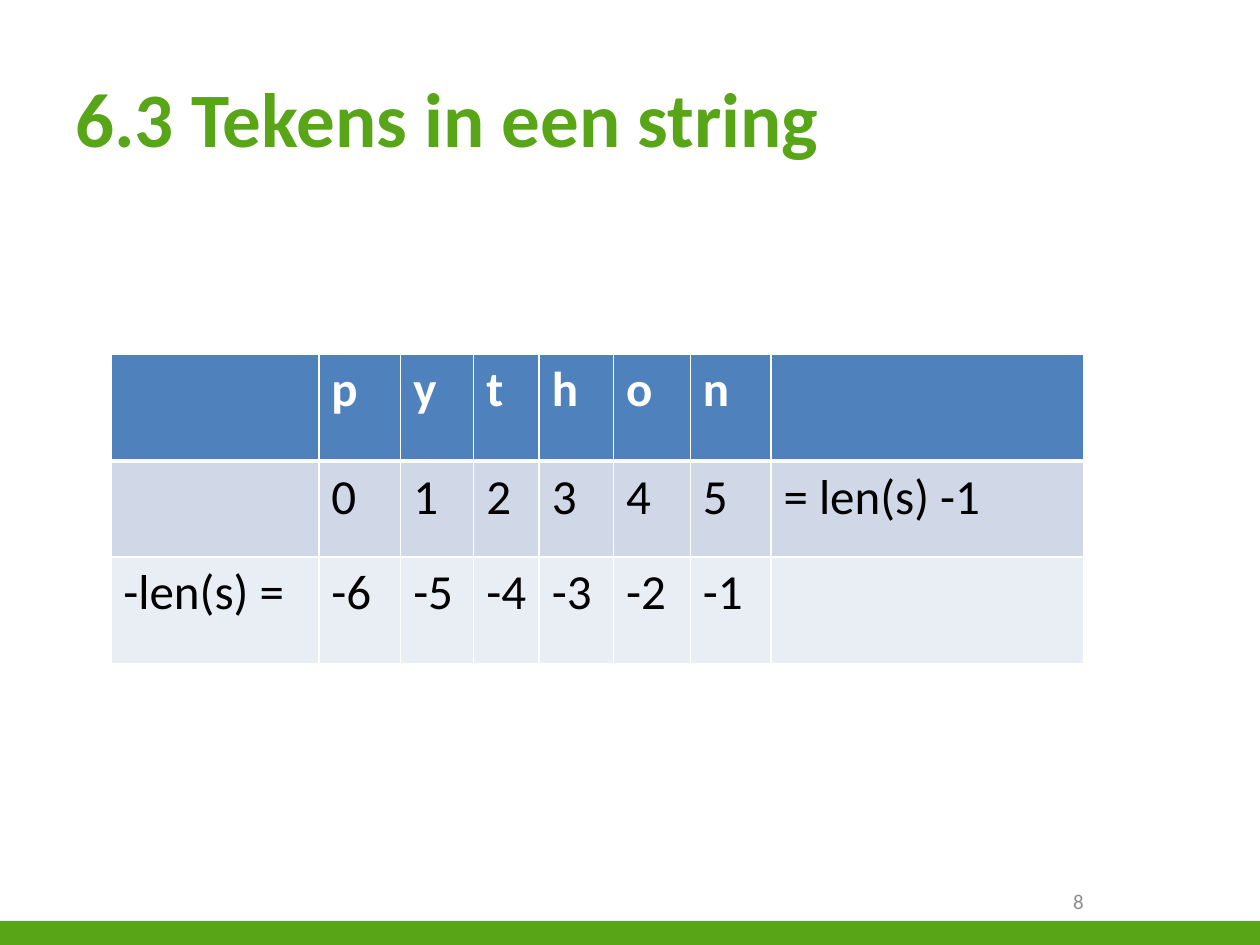
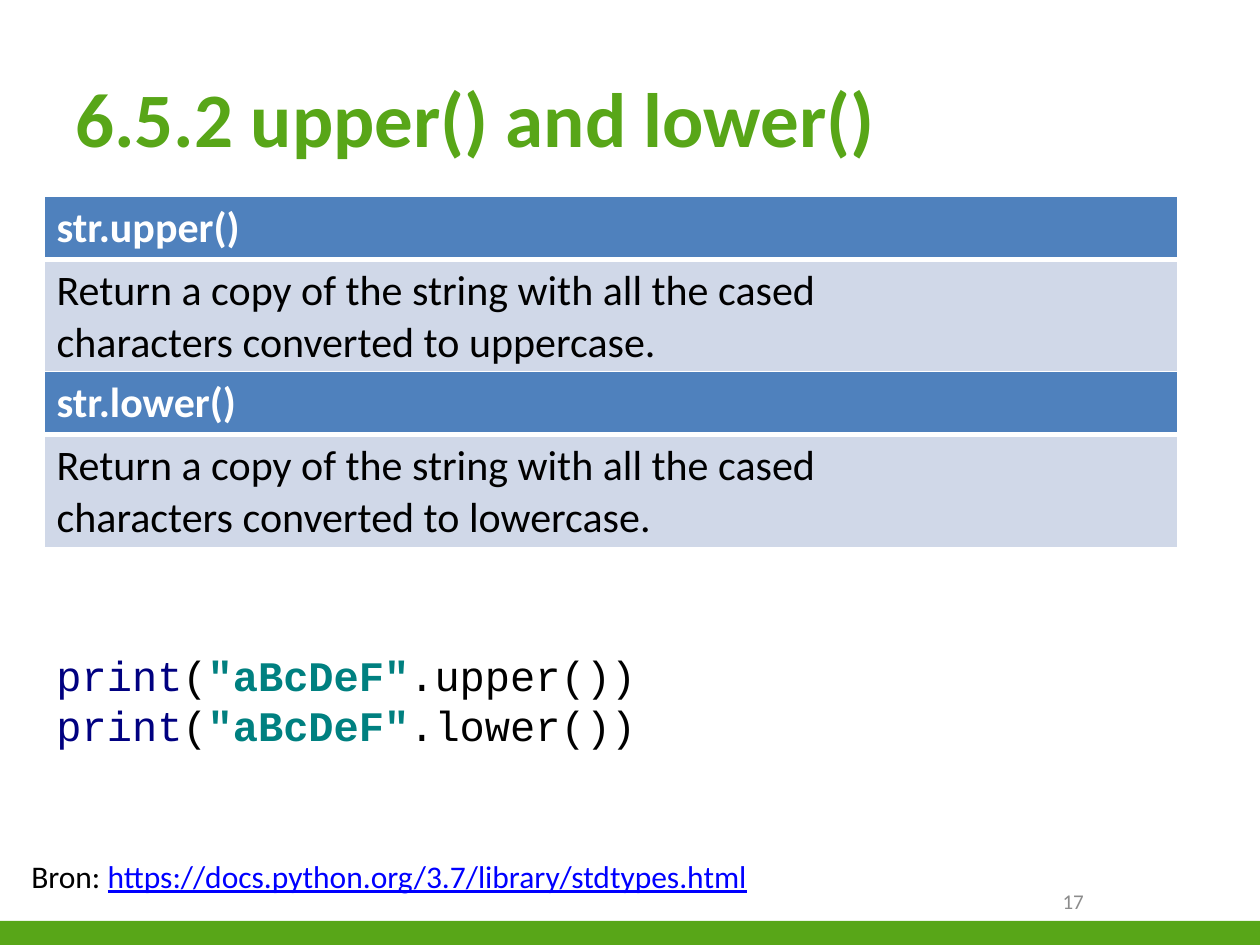
from typing import NamedTuple

from lxml import etree
from pptx import Presentation
from pptx.dml.color import RGBColor
from pptx.enum.shapes import MSO_SHAPE
from pptx.enum.text import MSO_ANCHOR, PP_ALIGN
from pptx.oxml.ns import qn
from pptx.util import Inches, Pt

GREEN = RGBColor(0x58, 0xA6, 0x18)
BLUE = RGBColor(0x4F, 0x81, 0xBD)
BAND_DARK = RGBColor(0xD0, 0xD8, 0xE8)
BAND_LIGHT = RGBColor(0xE9, 0xED, 0xF4)
WHITE = RGBColor(0xFF, 0xFF, 0xFF)
BLACK = RGBColor(0x00, 0x00, 0x00)
GRAY = RGBColor(0x8C, 0x8C, 0x8C)
LINK = RGBColor(0x00, 0x00, 0xFF)
NAVY = RGBColor(0x00, 0x00, 0x80)
TEAL = RGBColor(0x00, 0x80, 0x80)

BODY_FONT = "Calibri"
CODE_FONT = "Courier New"
RECTANGLE = MSO_SHAPE.RECTANGLE
TOP, MIDDLE = MSO_ANCHOR.TOP, MSO_ANCHOR.MIDDLE
LEFT, RIGHT = PP_ALIGN.LEFT, PP_ALIGN.RIGHT
NBSP = chr(160)  # keeps the last words of a description on one line


class Box(NamedTuple):
    left: float
    top: float
    width: float
    height: float

    def emu(self) -> list:
        return [Inches(v) for v in self]


class Grid(NamedTuple):
    left: float
    top: float
    cols: list
    rows: list
    cells: list
    size: int


class Method(NamedTuple):
    name: str
    result: str
    top: float


TITLE_BOX = Box(0.5, 0.3, 9, 1.25)
FOOTER_BAND = Box(0, 7.31, 10, 0.2)
NUMBER_BOX = Box(7.17, 6.95, 1.53, 0.4)
SOURCE_BOX = Box(0.15, 6.75, 8.54, 0.4)
CODE_BOX = Box(0.35, 5.1, 5.34, 0.91)

INDEX_GRID = Grid(
    0.88, 2.81,
    cols=[1.65, 0.65, 0.58, 0.52, 0.59, 0.61, 0.64, 2.48],
    rows=[0.85, 0.76, 0.85],
    cells=[
        ["", *"python", ""],
        ["", *"012345", "= len(s) -1"],
        ["-len(s) =", *(str(i) for i in range(-6, 0)), ""],
    ],
    size=28,
)
METHODS = [Method("upper", "uppercase", 1.56), Method("lower", "lowercase", 2.95)]


def add_run(p, text: str, *, size: float, color: RGBColor, font: str = BODY_FONT,
            bold: bool = False, underline: bool = False) -> None:
    r = p.add_run()
    r.text = text
    r.font.name = font
    r.font.size = Pt(size)
    r.font.color.rgb = color
    r.font.bold = bold
    r.font.underline = underline


def add_text_box(s, box: Box, *, anchor=TOP, align=LEFT):
    """Add a wrapping text box and return its first paragraph."""
    tf = s.shapes.add_textbox(*box.emu()).text_frame
    tf.word_wrap = True
    tf.vertical_anchor = anchor
    p = tf.paragraphs[0]
    p.alignment = align
    return p


def add_borders(cell, bottom: float) -> None:
    """Draw white cell borders, placed before the fill as the schema asks."""
    tc_pr = cell._tc.get_or_add_tcPr()
    widths = {"lnL": 1, "lnR": 1, "lnT": 1, "lnB": bottom}
    for i, (tag, width) in enumerate(widths.items()):
        ln = etree.Element(qn(f"a:{tag}"), w=str(Pt(width)))
        fill = etree.SubElement(ln, qn("a:solidFill"))
        etree.SubElement(fill, qn("a:srgbClr"), val=str(WHITE))
        tc_pr.insert(i, ln)


def add_grid(s, grid: Grid) -> None:
    box = Box(grid.left, grid.top, sum(grid.cols), sum(grid.rows))
    table = s.shapes.add_table(len(grid.rows), len(grid.cols), *box.emu()).table
    for column, width in zip(table.columns, grid.cols):
        column.width = Inches(width)
    for i, (row, height) in enumerate(zip(table.rows, grid.rows)):
        row.height = Inches(height)
        header = i == 0
        band = BAND_DARK if i % 2 else BAND_LIGHT
        for cell, text in zip(row.cells, grid.cells[i]):
            cell.fill.solid()
            cell.fill.fore_color.rgb = BLUE if header else band
            add_borders(cell, bottom=3 if i == 0 else 1)
            if text:
                add_run(cell.text_frame.paragraphs[0], text, size=grid.size,
                        color=WHITE if header else BLACK, bold=header)


def add_base_slide(prs, title: str, number: int):
    """Add a slide with the shared footer band, title and page number."""
    s = prs.slides.add_slide(prs.slide_layouts[6])
    band = s.shapes.add_shape(RECTANGLE, *FOOTER_BAND.emu())
    band.shadow.inherit = False
    band.fill.solid()
    band.fill.fore_color.rgb = GREEN
    band.line.fill.background()
    add_run(add_text_box(s, TITLE_BOX, anchor=MIDDLE), title,
            size=44, color=GREEN, bold=True)
    add_run(add_text_box(s, NUMBER_BOX, anchor=MIDDLE, align=RIGHT), str(number),
            size=12, color=GRAY)
    return s


def add_code(s) -> None:
    p = add_text_box(s, CODE_BOX, anchor=MIDDLE)
    for i, method in enumerate(METHODS):
        if i:
            p.add_line_break()
        for text, color in [("print", NAVY), ("(", BLACK), ('"aBcDeF"', TEAL),
                            (f".{method.name}())", BLACK)]:
            add_run(p, text, size=24, color=color, font=CODE_FONT, bold=color == TEAL)


def add_source(s) -> None:
    p = add_text_box(s, SOURCE_BOX)
    add_run(p, "Bron: ", size=18, color=BLACK)
    add_run(p, "https://docs.python.org/3.7/library/stdtypes.html",
            size=18, color=LINK, underline=True)


def add_methods(s) -> None:
    for method in METHODS:
        description = ("Return a copy of the string with all the cased "
                       f"characters{NBSP}converted to {method.result}.")
        add_grid(s, Grid(0.35, method.top, cols=[9], rows=[0.5, 0.9],
                         cells=[[f"str.{method.name}()"], [description]], size=24))


def main() -> None:
    prs = Presentation()
    prs.slide_width, prs.slide_height = Inches(10), Inches(7.5)

    s = add_base_slide(prs, "6.3 Tekens in een string", 8)
    add_grid(s, INDEX_GRID)

    s = add_base_slide(prs, "6.5.2 upper() and lower()", 17)
    add_methods(s)
    add_code(s)
    add_source(s)

    prs.save("out.pptx")


if __name__ == "__main__":
    main()
